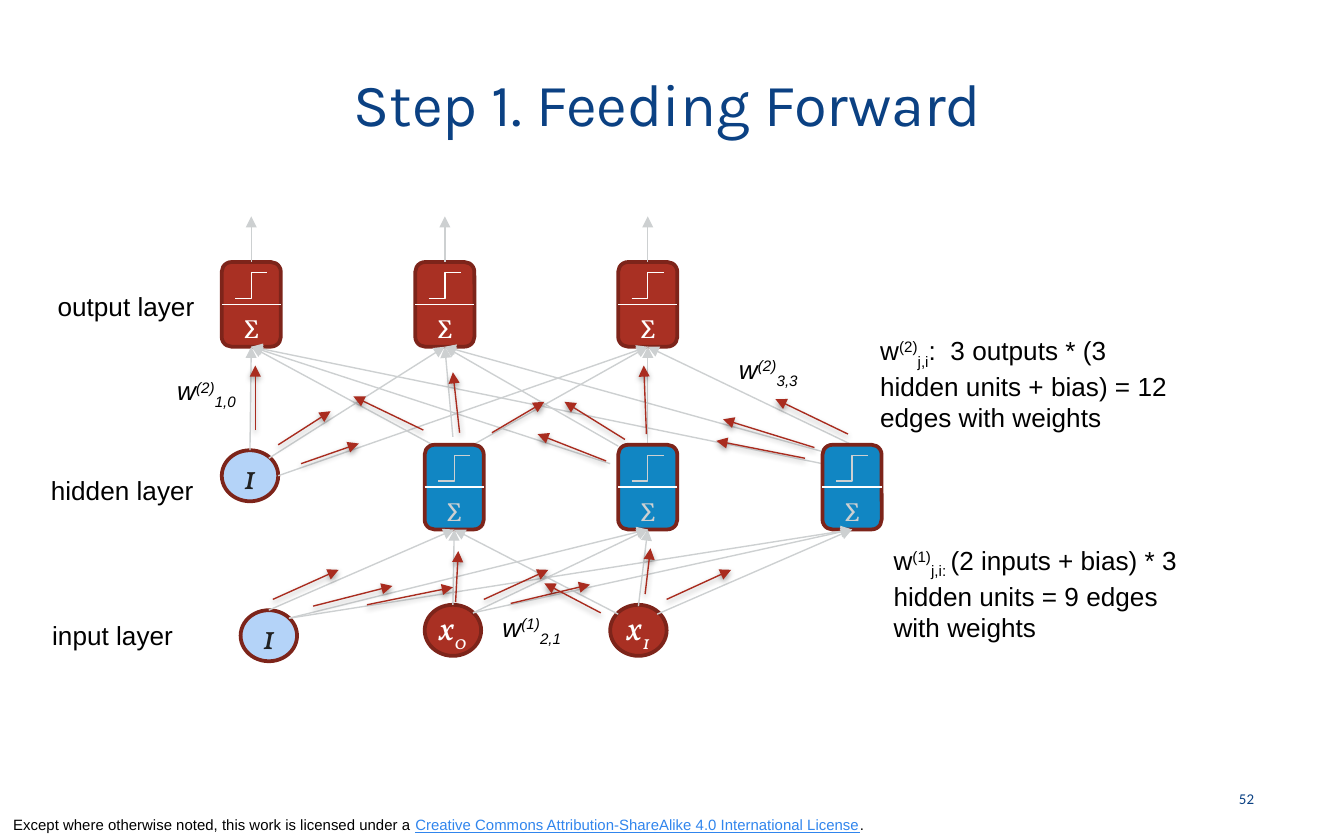
"""Builds a slide on feeding a neural network forward."""
from lxml import etree
from pptx import Presentation
from pptx import util as u
from pptx.dml.color import RGBColor
from pptx.enum import shapes, text
from pptx.oxml.ns import qn

HUE = dict(navy="0B4183", red="A93023", dark="7D241A", flow="A92C1F", blue="1186C3",
           pale="B4D3F8", grey="CDD0D1", white="FFFFFF", ink="212121", black="000000", link="3085ED")
COLS, ROWS = 10, 6.25
CELL = u.Inches(1)
BODY = dict(name="Arial", size=u.Pt(14), color="black")
SYM = dict(name="Vollkorn", size=u.Pt(18), italic=True)
MID = dict(vertical_anchor=text.MSO_ANCHOR.MIDDLE)
PAD = dict.fromkeys(("margin_left", "margin_right", "margin_top", "margin_bottom"), 0)
NODE = 0.44, 0.63
DOT = 0.42, 0.38
OUTS = 0, 1.44, 2.95
HIDS = 1.51, 2.95, 4.47
DEEP = [
    [(0.21, 1.76), (0.35, 1.82), (0.42, 1.95)],
    [(1.57, 1.72), (1.72, 1.66), (1.87, 1.72)],
    [(2.89, 1.86), (2.95, 1.73), (3.17, 1.72)],
    [(4.47, 1.86), (4.47, 1.77), (4.69, 1.72)],
]
BASE = [
    [(0.35, 2.95), (0.5, 3.01), (0.5, 3.01)],
    [(1.72, 2.91), (1.87, 2.97), (1.87, 2.97)],
    [(2.95, 2.98), (3.1, 2.92), (3.24, 2.98)],
]
FLOW = [
    (0.38, 2.87, 0.87, 2.65), (1.95, 2.87, 2.43, 2.65), (3.31, 2.87, 3.79, 2.65),
    (0.68, 2.92, 1.27, 2.77), (1.08, 2.91, 1.72, 2.78), (2.15, 2.9, 2.74, 2.76),
    (1.74, 2.89, 1.76, 2.51), (3.15, 2.83, 3.19, 2.49), (2.82, 2.97, 2.4, 2.75),
    (4.66, 1.64, 4.12, 1.38), (4.41, 1.74, 3.73, 1.53), (4.34, 1.82, 3.68, 1.69),
    (3.16, 1.64, 3.14, 1.13), (1.77, 1.63, 1.72, 1.18), (0.25, 1.61, 0.25, 1.13),
    (0.42, 1.72, 0.81, 1.47), (0.59, 1.86, 1.02, 1.71), (2.01, 1.63, 2.4, 1.4),
    (1.5, 1.61, 0.98, 1.36), (3, 1.68, 2.55, 1.4), (2.86, 1.84, 2.35, 1.64),
]


def rgb(key):
    """Return the named colour."""
    return RGBColor.from_string(HUE[key])


def span(*vals):
    """Turn grid cells into slide lengths."""
    return [round(v * CELL) for v in vals]


def write(frame, runs, font, align=None, **form):
    """Fill a text frame with runs of (text, changes to the font)."""
    for key, val in form.items():
        setattr(frame, key, val)
    para = frame.paragraphs[0]
    para.alignment = align
    for words, extra in runs:
        run = para.add_run()
        run.text = words
        for key, val in {**font, **extra}.items():
            if key == "color":
                run.font.color.rgb = rgb(val)
            elif key == "base":
                run._r.get_or_add_rPr().set("baseline", str(val * 1000))
            else:
                setattr(run.font, key, val)


def label(slide, box, runs, font=BODY, align=None, wrap=True, **form):
    """Place a text box."""
    frame = slide.shapes.add_textbox(*span(*box)).text_frame
    write(frame, runs, font, align, word_wrap=wrap, **form)


def weight(sup, sub):
    """Return the runs of a weight with its indices."""
    return [("w", {}), (f"({sup})", dict(base=30)), (sub, dict(base=-25))]


def line(slide, ends, hue, head=False, glow=False, kind="STRAIGHT"):
    """Draw a connector, with an arrowhead and a shadow if asked."""
    link = slide.shapes.add_connector(getattr(shapes.MSO_CONNECTOR, kind), *span(*ends))
    link.line.color.rgb = rgb(hue)
    link.line.width = u.Pt(0.75)
    if head:
        etree.SubElement(link.line._get_or_add_ln(), qn("a:tailEnd"), type="triangle")
    fx = etree.SubElement(link._element.spPr, qn("a:effectLst"))
    if glow:
        cast = etree.SubElement(fx, qn("a:outerShdw"), blurRad="40000", dist="20000",
                                dir="5400000", rotWithShape="0")
        tint = etree.SubElement(cast, qn("a:srgbClr"), val=HUE["black"])
        etree.SubElement(tint, qn("a:alpha"), val="38000")


def cell(slide, kind, box, hue, runs, font, anchor):
    """Draw an outlined shape with centred text."""
    item = slide.shapes.add_shape(getattr(shapes.MSO_SHAPE, kind), *span(*box))
    item.shadow.inherit = False
    item.fill.solid()
    item.fill.fore_color.rgb = rgb(hue)
    item.line.color.rgb = rgb("dark")
    item.line.width = u.Pt(2)
    write(item.text_frame, runs, font, text.PP_ALIGN.CENTER, vertical_anchor=anchor, **PAD)


def unit(slide, x, y, hue, ink):
    """Draw a summing unit with its step function."""
    wide, high = NODE
    font = dict(name="Vollkorn", size=u.Pt(14), color=ink)
    cell(slide, "ROUNDED_RECTANGLE", (x, y, wide, high), hue, [("Σ", {})], font,
         text.MSO_ANCHOR.BOTTOM)
    line(slide, (x, y + high / 2, x + wide, y + high / 2), "white")
    line(slide, (x + 0.1, y + 0.27, x + 0.34, y + 0.08), ink, kind="ELBOW")


def dot(slide, x, y, hue, ink, runs):
    """Draw an input or bias circle."""
    cell(slide, "OVAL", (x, y, *DOT), hue, runs, {**SYM, "color": ink}, text.MSO_ANCHOR.MIDDLE)


def network(slide, box):
    """Draw the layers, their edges and the flow arrows."""
    left, top = box[:2]
    half, high = NODE[0] / 2, NODE[1]
    out, hid = top + 0.36, top + 1.72

    def wire(fan, goals, y):
        """Join each source to every unit above it."""
        for row in fan:
            for (a, b), goal in zip(row, goals):
                line(slide, (left + a, top + b, left + goal + half, y), "grey", head=True)

    for x in OUTS:
        unit(slide, left + x, out, "red", "white")
    dot(slide, left, top + 1.76, "pale", "ink", [("1", {})])
    wire(DEEP, OUTS, out + high)
    for x in OUTS:
        line(slide, (left + x + half, out, left + x + half, top + 0.02), "grey", head=True)
    for x, sub in ((1.51, "0"), (2.89, "1")):
        dot(slide, left + x, top + 2.91, "red", "white", [("x", {}), (sub, dict(base=-25))])
    for x in HIDS:
        unit(slide, left + x, hid, "blue", "grey")
    dot(slide, left + 0.14, top + 2.95, "pale", "ink", [("1", {})])
    wire(BASE, HIDS, hid + high)
    for a, b, c, d in FLOW:
        line(slide, (left + a, top + b, left + c, top + d), "flow", head=True, glow=True)
    for x, y, sup, sub in ((-0.43, 1.15, 2, "1,0"), (3.75, 0.99, 2, "3,3"), (1.99, 2.91, 1, "2,1")):
        label(slide, (left + x, top + y, 0.69, 0.34), weight(sup, sub),
              {**BODY, "italic": True}, wrap=False)


def layers(slide, box):
    """Name the layers down the left side."""
    left, top = box[:2]
    for x, y, wide, name in ((0.05, 0, 1.22, "output"), (0, 1.37, 1.27, "hidden"),
                             (0.01, 2.45, 1.1, "input")):
        label(slide, (left + x, top + y, wide, 0.34), [(f"{name} layer", {})], wrap=False)


def notes(slide, box):
    """Count the weights on the right side."""
    left, top, wide, high = box
    label(slide, (left, top, wide, high), weight(2, "j,i") + [
        (":  3 outputs * (3 hidden units + bias) = 12 edges with weights", {})])
    label(slide, (left + 0.1, top + 1.56, wide, high), weight(1, "j,i: ") + [
        ("(2 inputs + bias) * 3 hidden units = 9 edges with weights", {})])


def title(slide, box):
    """Place the heading."""
    font = dict(name="Karla", size=u.Pt(32), color="navy")
    label(slide, box, [("Step 1. Feeding Forward", {})], font, text.PP_ALIGN.CENTER, **MID)


def footer(slide, box):
    """Place the licence line and the page number."""
    left, top, wide, high = box
    label(slide, (left, top + 0.24, wide * 0.75, high - 0.24), [
        ("Except where otherwise noted, this work is licensed under a ", {}),
        ("Creative Commons Attribution-ShareAlike 4.0 International License",
         dict(color="link", underline=True)),
        (".", {})], {**BODY, "size": u.Pt(8)}, vertical_anchor=text.MSO_ANCHOR.BOTTOM)
    label(slide, (left + 8.98, top, 0.45, 0.33), [("52", {})],
          dict(name="Calibri", size=u.Pt(8), color="navy"), text.PP_ALIGN.RIGHT, **MID)


def main():
    """Build and save the slide."""
    deck = Presentation()
    deck.slide_width, deck.slide_height = span(COLS, ROWS)
    slide = deck.slides.add_slide(deck.slide_layouts[6])
    footer(slide, (0, 5.78, COLS, 0.47))
    title(slide, (0.51, 0.17, 8.92, 1.19))
    network(slide, (1.65, 1.59, 4.91, 3.33))
    notes(slide, (6.45, 2.44, 2.38, 0.81))
    layers(slide, (0.28, 2.11, 1.27, 2.79))
    deck.save("out.pptx")


if __name__ == "__main__":
    main()
